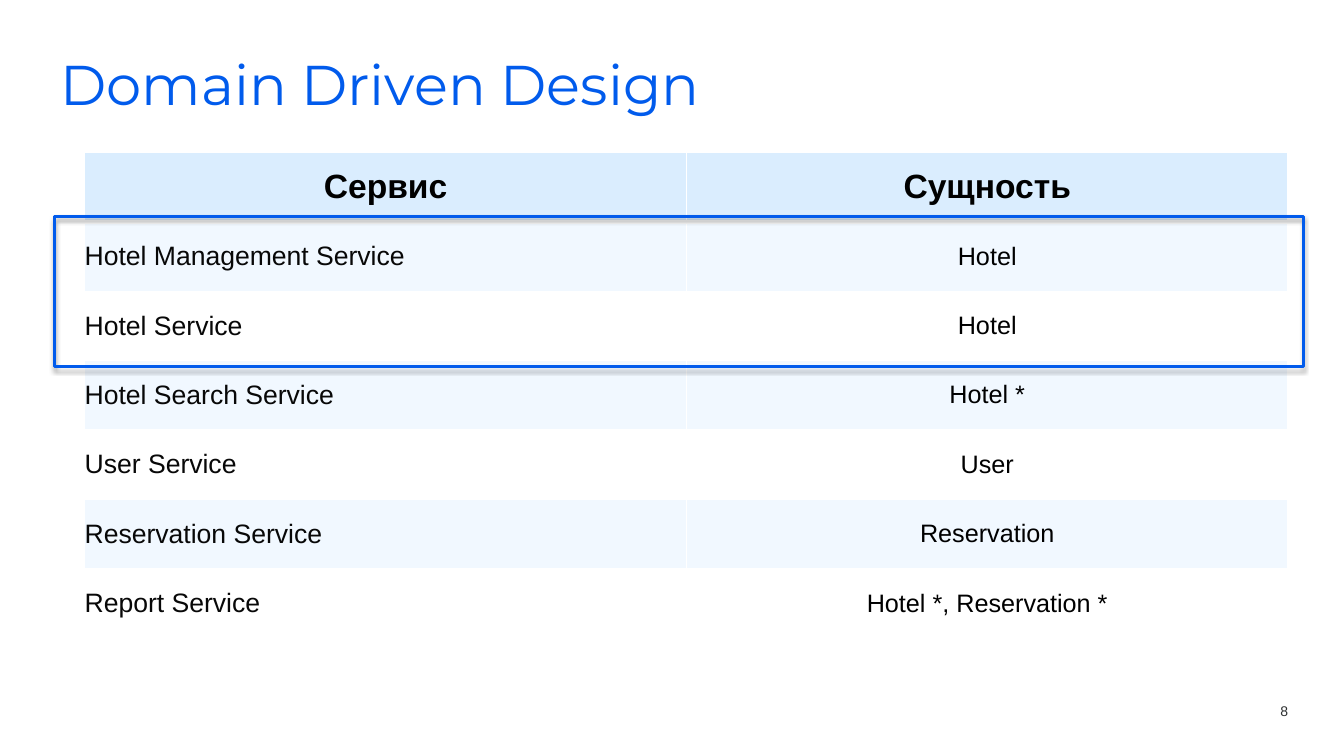
import pptx
import pptx.util
import pptx.dml.color
import pptx.enum.shapes
import pptx.enum.text
import pptx.oxml
import pptx.oxml.ns

Pt = pptx.util.Pt
ALIGN = pptx.enum.text.PP_ALIGN
ANCHOR = pptx.enum.text.MSO_ANCHOR

COLORS = {
    "blue": "015BEC",
    "header": "DAEDFE",
    "band": "F1F8FF",
    "white": "FFFFFF",
    "service": "080808",
    "black": "000000",
    "number": "2D3031",
}

ROWS = [
    ("Сервис", "Сущность"),
    ("Hotel Management Service", "Hotel"),
    ("Hotel Service", "Hotel"),
    ("Hotel Search Service", "Hotel *"),
    ("User Service", "User"),
    ("Reservation Service", "Reservation"),
    ("Report Service", "Hotel *, Reservation *"),
]


def rgb(name):
    return pptx.dml.color.RGBColor.from_string(COLORS[name])


def write(holder, text, size, color, font="Arial", bold=False, align=ALIGN.LEFT):
    """Set one formatted paragraph in a shape or a table cell."""
    para = holder.text_frame.paragraphs[0]
    para.text = text
    para.alignment = align
    span = para.runs[0]
    span.font.name = font
    span.font.size = Pt(size)
    span.font.bold = bold
    span.font.color.rgb = rgb(color)


def clear_margins(holder):
    holder.margin_left = holder.margin_right = 0
    holder.margin_top = holder.margin_bottom = 0


def add_title(page, left, top, width, height):
    title = page.shapes.title
    title.left, title.top = Pt(left), Pt(top)
    title.width, title.height = Pt(width), Pt(height)
    frame = title.text_frame
    clear_margins(frame)
    frame.vertical_anchor = ANCHOR.TOP
    frame.auto_size = pptx.enum.text.MSO_AUTO_SIZE.NONE
    write(title, "Domain Driven Design", 40, "blue", "Montserrat")


def add_page_number(page, left, top, width, height):
    box = page.shapes.add_textbox(Pt(left), Pt(top), Pt(width), Pt(height))
    frame = box.text_frame
    clear_margins(frame)
    frame.word_wrap = False
    frame.vertical_anchor = ANCHOR.MIDDLE
    write(box, "8", 10, "number", align=ALIGN.RIGHT)
    frame.paragraphs[0].line_spacing = Pt(13)


def set_borders(cell, bottom_width):
    """Draw white cell borders; they precede the fill in the cell properties."""
    properties = cell._tc.get_or_add_tcPr()
    widths = {"lnL": 1, "lnR": 1, "lnT": 1, "lnB": bottom_width}
    for index, (side, width) in enumerate(widths.items()):
        properties.insert(index, pptx.oxml.parse_xml(
            f'<a:{side} {pptx.oxml.ns.nsdecls("a")} w="{Pt(width)}"><a:solidFill>'
            f'<a:srgbClr val="{COLORS["white"]}"/></a:solidFill></a:{side}>'))


def add_service_table(page, left, top, width, height):
    table = page.shapes.add_table(
        len(ROWS), 2, Pt(left), Pt(top), Pt(width), Pt(height)).table
    for row_index, texts in enumerate(ROWS):
        is_header = row_index == 0
        fill = "header" if is_header else "band" if row_index % 2 else "white"
        for column_index, text in enumerate(texts):
            cell = table.cell(row_index, column_index)
            clear_margins(cell)
            cell.vertical_anchor = ANCHOR.MIDDLE
            cell.fill.solid()
            cell.fill.fore_color.rgb = rgb(fill)
            set_borders(cell, 3 if is_header else 1)
            if is_header:
                write(cell, text, 24, "black", bold=True, align=ALIGN.CENTER)
            elif column_index == 0:
                write(cell, text, 19, "service")
            else:
                write(cell, text, 18, "black", align=ALIGN.CENTER)


def add_highlight(page, left, top, width, height):
    frame = page.shapes.add_shape(
        pptx.enum.shapes.MSO_SHAPE.RECTANGLE,
        Pt(left), Pt(top), Pt(width), Pt(height))
    frame.fill.background()
    frame.line.color.rgb = rgb("blue")
    frame.line.width = Pt(2)
    # Soft shadow straight below the outline
    frame.shadow.inherit = False
    effects = frame._element.spPr.find(pptx.oxml.ns.qn("a:effectLst"))
    effects.append(pptx.oxml.parse_xml(
        f'<a:outerShdw {pptx.oxml.ns.nsdecls("a")} blurRad="{Pt(3)}" '
        f'dist="{Pt(1.8)}" dir="5400000" rotWithShape="0">'
        f'<a:srgbClr val="{COLORS["black"]}"><a:alpha val="35000"/></a:srgbClr>'
        '</a:outerShdw>'))


def build_table_page(deck):
    page = deck.slides.add_slide(deck.slide_layouts[5])
    page.background.fill.solid()
    page.background.fill.fore_color.rgb = rgb("white")
    add_title(page, 43.2, 35.3, 894.2, 66.2)
    add_page_number(page, 910, 501, 10, 12.5)
    add_service_table(page, 60.5, 108.8, 859.6, 347.2)
    add_highlight(page, 38.9, 154.8, 892.1, 107.3)


def main():
    deck = pptx.Presentation()
    deck.slide_width, deck.slide_height = Pt(960), Pt(540)
    build_table_page(deck)
    deck.save("out.pptx")


if __name__ == "__main__":
    main()
